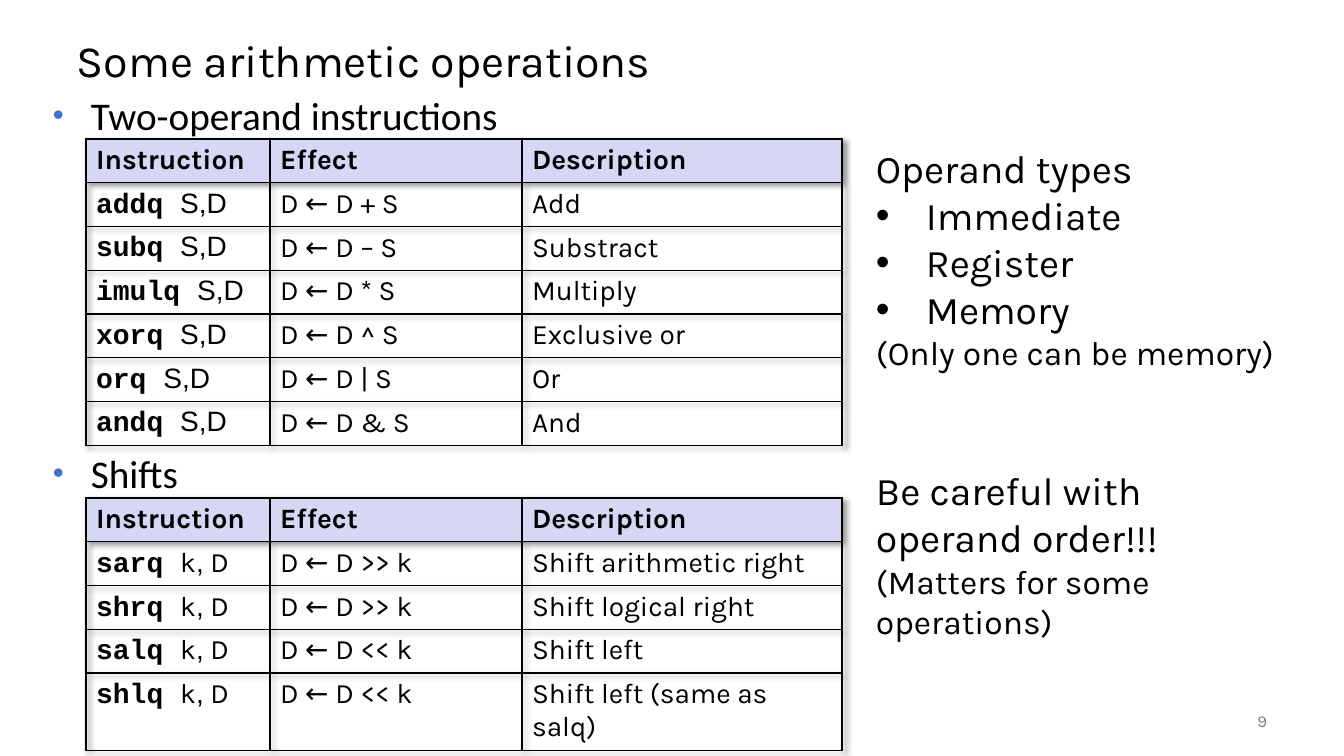
"""Builds the arithmetic operations slide with its two instruction tables."""
from dataclasses import dataclass
from pptx import Presentation
from pptx.dml.color import RGBColor
from pptx.enum.text import MSO_ANCHOR, PP_ALIGN
from pptx.oxml import parse_xml
from pptx.oxml.ns import nsdecls
from pptx.util import Emu, Pt


@dataclass(frozen=True)
class Theme:
    ink: str = "000000"
    header: str = "D6D6F5"
    accent: str = "4472C4"
    muted: str = "808080"
    body: str = "Karla"
    code: str = "Courier New"
    plain: str = "Arial"
    section: str = "Calibri"
    title: int = 32
    large: int = 28
    medium: int = 24
    cell: int = 20
    small: int = 12
    thin: float = 1
    thick: float = 2.25


T = Theme()
TITLE = "Some arithmetic operations"
HEADER = ("Instruction", "Effect", "Description")
ARITHMETIC_OPERANDS = [("S,D", T.plain)]
SHIFT_OPERANDS = [("k", T.body), (",", T.plain), (" D", T.body)]
SECTIONS = [
    ("Two-operand instructions", 86, 139, ARITHMETIC_OPERANDS, [
        ("addq ", "D ← D + S", "Add"),
        ("subq ", "D ← D – S", "Substract"),
        ("imulq ", "D ← D * S", "Multiply"),
        ("xorq ", "D ← D ^ S", "Exclusive or"),
        ("orq ", "D ← D | S", "Or"),
        ("andq ", "D ← D & S", "And"),
    ]),
    ("Shifts", 444, 498, SHIFT_OPERANDS, [
        ("sarq ", "D ← D >> k", "Shift arithmetic right"),
        ("shrq ", "D ← D >> k", "Shift logical right"),
        ("salq ", "D ← D << k", "Shift left"),
        ("shlq ", "D ← D << k", "Shift left (same as salq)"),
    ]),
]
NOTES = [
    ("Operand types", T.large, False, 0),
    ("Immediate", T.large, True, 0),
    ("Register", T.large, True, 0),
    ("Memory", T.large, True, 0),
    ("(Only one can be memory)", T.medium, False, 0),
    ("Be careful with operand order!!!", T.large, False, 67),
    ("(Matters for some operations)", T.medium, False, 0),
]
TABLE_LEFT, ROW_HEIGHT, COLUMNS = 86, 32, (184, 252, 320)


def px(pixels):
    return Emu(round(pixels * 914400 / 100.8))


def add_run(paragraph, text, size, font=T.body, color=T.ink, bold=False):
    run = paragraph.add_run()
    run.text = text
    run.font.size, run.font.name, run.font.bold = Pt(size), font, bold
    run.font.color.rgb = RGBColor.from_string(color)


def add_bullet(paragraph, indent, color=T.ink, percent=100):
    props = paragraph._p.get_or_add_pPr()
    props.set("marL", str(px(indent)))
    props.set("indent", str(-px(indent)))
    for xml in (f'<a:buClr {nsdecls("a")}><a:srgbClr val="{color}"/></a:buClr>',
                f'<a:buSzPct {nsdecls("a")} val="{percent * 1000}"/>',
                f'<a:buFont {nsdecls("a")} typeface="{T.plain}"/>',
                f'<a:buChar {nsdecls("a")} char="•"/>'):
        props.append(parse_xml(xml))


def add_box(slide, left, top, width, height, anchor=MSO_ANCHOR.TOP):
    frame = slide.shapes.add_textbox(px(left), px(top), px(width), px(height)).text_frame
    frame.word_wrap = True
    frame.vertical_anchor = anchor
    return frame


def style_cell(cell, row, column):
    props = cell._tc.get_or_add_tcPr()
    thick_sides = {"L": column == 0, "R": column == len(COLUMNS) - 1, "T": row == 0, "B": False}
    for side, thick in thick_sides.items():
        width = Pt(T.thick if thick else T.thin)
        props.append(parse_xml(
            f'<a:ln{side} {nsdecls("a")} w="{width}"><a:solidFill>'
            f'<a:srgbClr val="{T.ink}"/></a:solidFill></a:ln{side}>'))
    if row == 0:
        cell.fill.solid()
        cell.fill.fore_color.rgb = RGBColor.from_string(T.header)
    else:
        cell.fill.background()


def add_instruction_table(slide, top, operands, instructions):
    rows = [HEADER] + instructions
    table = slide.shapes.add_table(len(rows), len(COLUMNS), px(TABLE_LEFT), px(top),
                                   px(sum(COLUMNS)), px(ROW_HEIGHT * len(rows))).table
    table.first_row = table.horz_banding = False
    props = table._tbl.tblPr
    for child in list(props):
        props.remove(child)
    props.append(parse_xml(
        f'<a:effectLst {nsdecls("a")}><a:outerShdw blurRad="50800" dist="38100" dir="2700000">'
        f'<a:srgbClr val="{T.ink}"><a:alpha val="40000"/></a:srgbClr></a:outerShdw></a:effectLst>'))
    for column, width in zip(table.columns, COLUMNS):
        column.width = px(width)
    for r, values in enumerate(rows):
        table.rows[r].height = px(ROW_HEIGHT)
        for c, text in enumerate(values):
            cell = table.cell(r, c)
            style_cell(cell, r, c)
            paragraph = cell.text_frame.paragraphs[0]
            mnemonic = r > 0 and c == 0
            add_run(paragraph, text, T.cell, T.code if mnemonic else T.body,
                    bold=r == 0 or mnemonic)
            if mnemonic:
                for operand, font in operands:
                    add_run(paragraph, operand, T.cell, font)


prs = Presentation()
prs.slide_width, prs.slide_height = px(1344), px(756)
slide = prs.slides.add_slide(prs.slide_layouts[6])

title = add_box(slide, 67, 25, 1210, 76, MSO_ANCHOR.MIDDLE).paragraphs[0]
title.line_spacing = 0.9
add_run(title, TITLE, T.title)

for heading, heading_top, table_top, operands, instructions in SECTIONS:
    paragraph = add_box(slide, 43, heading_top, 874, 55).paragraphs[0]
    add_bullet(paragraph, 38, T.accent, 80)
    add_run(paragraph, heading, T.large, T.section)
    add_instruction_table(slide, table_top, operands, instructions)

notes = add_box(slide, 866, 139, 421, 559)
for i, (text, size, bulleted, gap) in enumerate(NOTES):
    paragraph = notes.add_paragraph() if i else notes.paragraphs[0]
    paragraph.space_before = Pt(gap)
    if bulleted:
        add_bullet(paragraph, 50)
    add_run(paragraph, text, size)

number = add_box(slide, 1176, 701, 101, 40, MSO_ANCHOR.MIDDLE).paragraphs[0]
number.alignment = PP_ALIGN.RIGHT
add_run(number, "9", T.small, color=T.muted)

prs.save("out.pptx")
